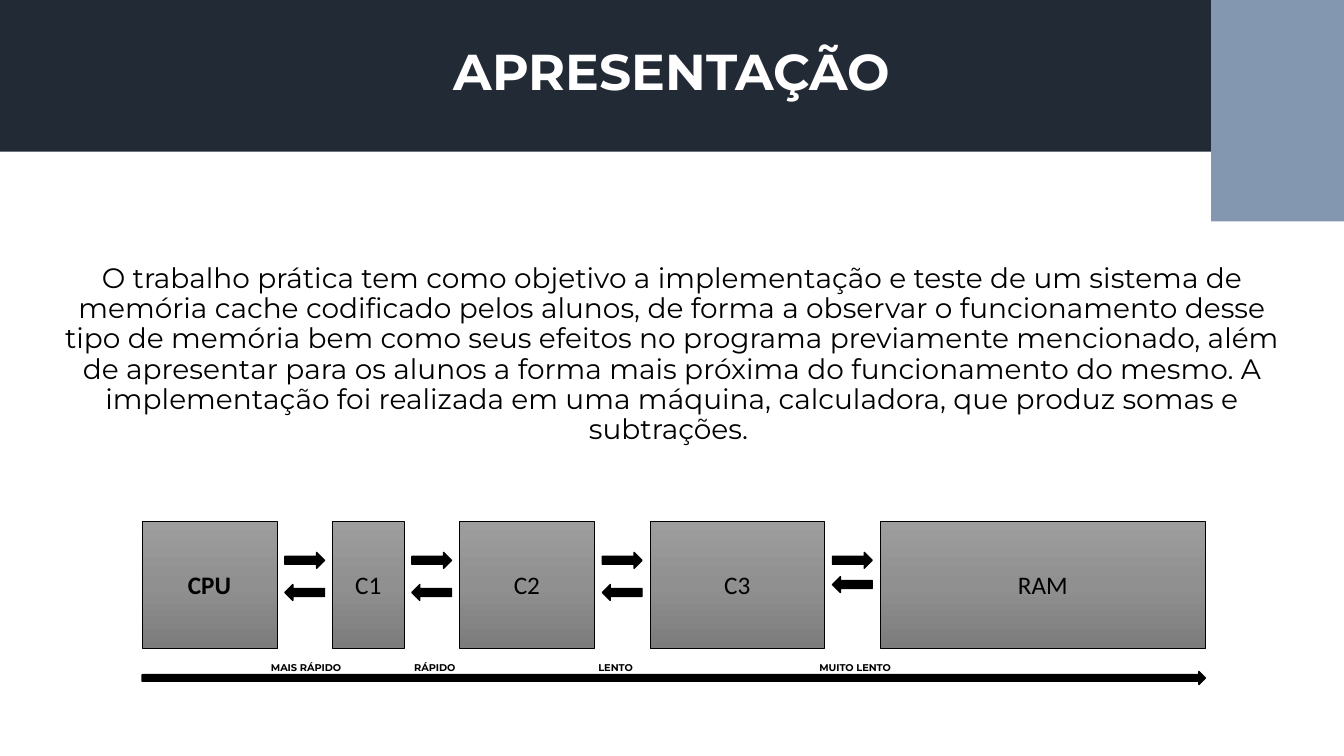
import copy
from dataclasses import dataclass

import pptx
import pptx.dml.color
import pptx.enum.shapes
import pptx.enum.text
import pptx.oxml
import pptx.oxml.ns
import pptx.util

Cm = pptx.util.Cm
Pt = pptx.util.Pt
Kind = pptx.enum.shapes.MSO_SHAPE
Align = pptx.enum.text.PP_ALIGN
Anchor = pptx.enum.text.MSO_ANCHOR
Fit = pptx.enum.text.MSO_AUTO_SIZE

WIDE = 33.87
LEFT, TOP, TALL, GAP = 3.58, 13.13, 3.2, 1.4
BLACK, WHITE = "000000", "FFFFFF"
SHADES = ((0, "9D9D9D"), (0.5, "909090"), (1, "7C7C7C"))


@dataclass
class Block:
    name: str
    width: float
    bold: bool = False
    back: float = 14.73


@dataclass
class Label:
    text: str
    left: float
    width: float


BLOCKS = (
    Block("CPU", 3.4, bold=True),
    Block("C1", 1.8),
    Block("C2", 3.4),
    Block("C3", 4.4, back=14.53),
    Block("RAM", 8.2),
)
LABELS = (
    Label("MAIS RÁPIDO", 6.58, 2.3),
    Label("RÁPIDO", 10.19, 1.58),
    Label("LENTO", 14.83, 1.4),
    Label("MUITO LENTO", 20.4, 2.34),
)
BODY = (
    "O trabalho prática tem como objetivo a implementação e teste de um sistema de "
    "memória cache codificado pelos alunos, de forma a observar o funcionamento desse "
    "tipo de memória bem como seus efeitos no programa previamente mencionado, além de "
    "apresentar para os alunos a forma mais próxima do funcionamento do mesmo. A "
    "implementação foi realizada em uma máquina, calculadora, que produz somas e subtrações. "
)


def tint(code: str) -> pptx.dml.color.RGBColor:
    return pptx.dml.color.RGBColor.from_string(code)


def place(shape, left: float, top: float, width: float, height: float) -> None:
    shape.left, shape.top = Cm(left), Cm(top)
    shape.width, shape.height = Cm(width), Cm(height)


def write(shape, text: str, size: float, face: str, code: str = BLACK,
          bold: bool = False, align=Align.CENTER):
    shape.text_frame.text = text
    para = shape.text_frame.paragraphs[0]
    para.alignment = align
    font = para.runs[0].font
    font.size, font.name, font.bold = Pt(size), face, bold
    font.color.rgb = tint(code)
    return para


def draw(slide, kind, left: float, top: float, width: float, height: float,
         code: str, line: float = 0):
    shape = slide.shapes.add_shape(kind, Cm(left), Cm(top), Cm(width), Cm(height))
    shape.shadow.inherit = False
    shape.fill.solid()
    shape.fill.fore_color.rgb = tint(code)
    if line:
        shape.line.color.rgb = tint(BLACK)
        shape.line.width = Pt(line)
    else:
        shape.line.fill.background()
    return shape


def shade(shape) -> None:
    shape.fill.gradient()
    shape.fill.gradient_angle = 270
    stops = shape._element.spPr.find(".//" + pptx.oxml.ns.qn("a:gsLst"))
    stops.insert(1, copy.deepcopy(stops[0]))
    for stop, (spot, code) in zip(shape.fill.gradient_stops, SHADES):
        stop.position = spot
        stop.color.rgb = tint(code)


def add_block(slide, block: Block, left: float) -> None:
    shape = draw(slide, Kind.RECTANGLE, left, TOP, block.width, TALL, BLACK, 0.5)
    shade(shape)
    shape.text_frame.vertical_anchor = Anchor.MIDDLE
    write(shape, block.name, 18, "Calibri", bold=block.bold)


def add_pair(slide, left: float, back: float) -> None:
    for kind, top in ((Kind.RIGHT_ARROW, 13.92), (Kind.LEFT_ARROW, back)):
        draw(slide, kind, left, top, 1, 0.4, BLACK, 1)


def add_label(slide, label: Label) -> None:
    box = slide.shapes.add_textbox(Cm(label.left), Cm(16.54), Cm(label.width), Cm(0.56))
    box.text_frame.word_wrap = False
    box.text_frame.auto_size = Fit.SHAPE_TO_FIT_TEXT
    write(box, label.text, 7, "Montserrat", bold=True, align=Align.LEFT)


def add_head(slide) -> None:
    title = slide.shapes.title
    place(title, 0, 0, WIDE, 3.73)
    title.text_frame.auto_size = Fit.NONE
    title.text_frame.vertical_anchor = Anchor.MIDDLE
    para = write(title, "APRESENTAÇÃO", 36, "Montserrat", WHITE, bold=True)
    para.line_spacing = 0.9
    band = draw(slide, Kind.RECTANGLE, 0, 0, WIDE, 3.82, "222A35")
    title._element.addprevious(band._element)


def add_body(slide) -> None:
    body = slide.placeholders[1]
    place(body, 1.14, 6.53, 31.6, 5.46)
    body.text_frame.auto_size = Fit.NONE
    body.text_frame.vertical_anchor = Anchor.TOP
    para = write(body, BODY, 20, "Montserrat")
    para.line_spacing = 0.9
    para.space_before = Pt(10)
    props = para._p.get_or_add_pPr()
    props.set("marL", "0")
    props.set("indent", "0")
    props.append(pptx.oxml.parse_xml(f"<a:buNone {pptx.oxml.ns.nsdecls('a')}/>"))


def add_flow(slide) -> None:
    left = LEFT
    for block in BLOCKS:
        add_block(slide, block, left)
        left += block.width + GAP
        if block is not BLOCKS[-1]:
            add_pair(slide, left - GAP + 0.2, block.back)
    draw(slide, Kind.RIGHT_ARROW, LEFT, 16.92, left - GAP - LEFT, 0.33, BLACK, 1)
    for label in LABELS:
        add_label(slide, label)


def main() -> None:
    deck = pptx.Presentation()
    deck.slide_width, deck.slide_height = Cm(WIDE), Cm(19.05)
    slide = deck.slides.add_slide(deck.slide_layouts[1])
    add_head(slide)
    add_body(slide)
    add_flow(slide)
    draw(slide, Kind.RECTANGLE, 30.52, 0, 3.35, 5.58, "8497B0")
    deck.save("out.pptx")


if __name__ == "__main__":
    main()
